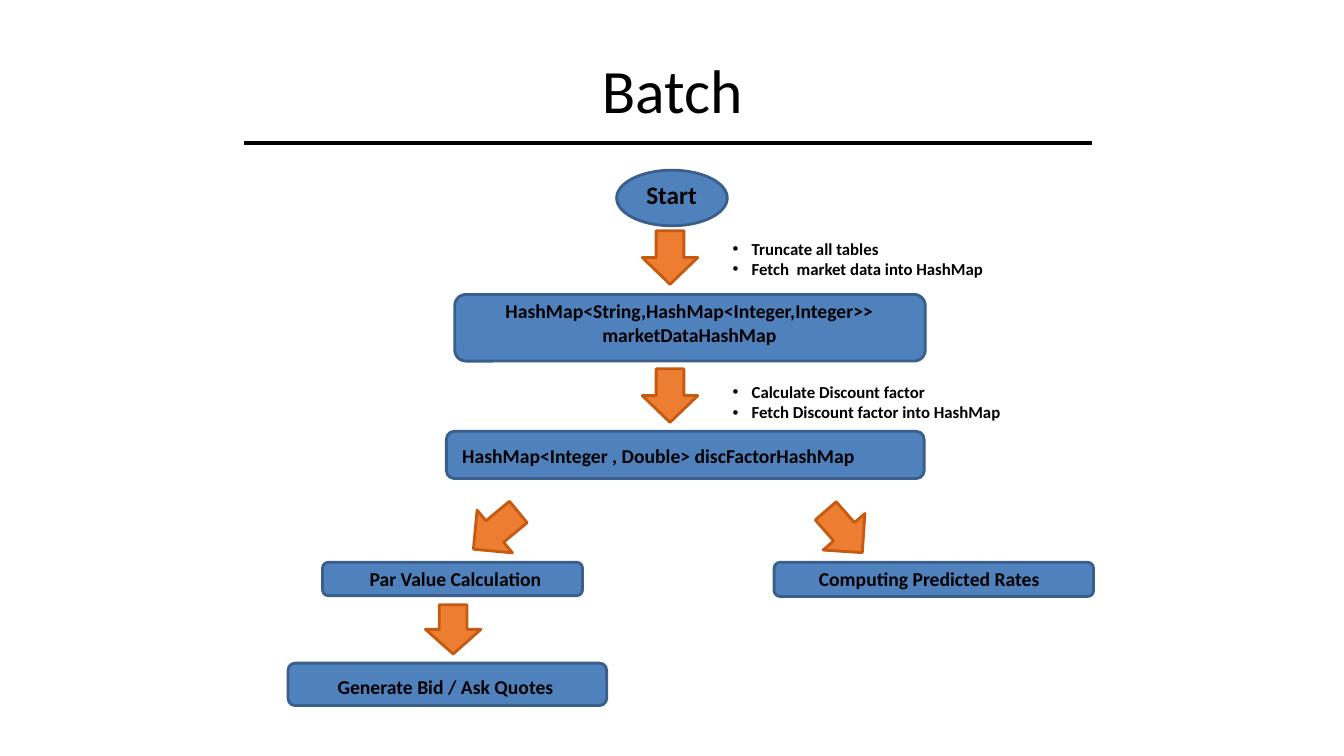
"""Build the Batch flow chart slide."""
from dataclasses import dataclass
from lxml.etree import SubElement
from pptx import Presentation
from pptx.dml.color import RGBColor
from pptx.enum.shapes import MSO_CONNECTOR, MSO_SHAPE
from pptx.enum.text import MSO_ANCHOR, MSO_AUTO_SIZE, PP_ALIGN
from pptx.oxml.ns import qn
from pptx.util import Cm, Pt


@dataclass(frozen=True)
class Theme:
    font: str = "Calibri"
    ink: str = "000000"
    box: tuple = ("4F81BD", "3A5F8C")
    arrow: tuple = ("ED7D31", "C55A11")
    title: int = 44
    start: int = 18
    step: int = 14
    note: int = 12
    edge: float = 2
    rule: float = 2.75


theme = Theme()
oval, card = MSO_SHAPE.OVAL, MSO_SHAPE.ROUNDED_RECTANGLE
left, center = PP_ALIGN.LEFT, PP_ALIGN.CENTER

title = ("Batch", (5.51, 0.76, 22.86, 3.18))
rule = (6.15, 3.61, 27.51, 3.61)
steps = [
    ("Start", oval, (15.54, 4.29, 2.79, 1.4),
     (15.21, 4.39, 3.43, 1.02), theme.start, center),
    ("HashMap<String,HashMap<Integer,Integer>>\nmarketDataHashMap", card,
     (11.46, 7.42, 11.86, 1.68), (11.76, 7.42, 11.23, 1.45), theme.step, center),
    ("HashMap<Integer , Double> discFactorHashMap", card,
     (11.25, 10.87, 12.04, 1.19), (11.4, 11.05, 11.91, 0.86), theme.step, left),
    ("Par Value Calculation", card, (8.13, 14.17, 6.55, 0.84),
     (7.24, 14.17, 8.48, 0.86), theme.step, center),
    ("Computing Predicted Rates", card, (19.51, 14.17, 8.05, 0.86),
     (19.51, 14.17, 7.82, 0.86), theme.step, center),
    ("Generate Bid / Ask Quotes", card, (7.26, 16.71, 8.03, 1.07),
     (7.19, 16.87, 8.08, 0.86), theme.step, center),
]
notes = [
    ("Truncate all tables \nFetch  market data into HashMap",
     (18.21, 5.89, 9.12, 1.27)),
    ("Calculate Discount factor\nFetch Discount factor into HashMap",
     (18.21, 9.5, 8.48, 1.27)),
]
arrows = [
    ((16.21, 5.79, 1.35, 1.4), 90),
    ((16.21, 9.27, 1.35, 1.4), 90),
    ((11.76, 12.67, 1.47, 1.4), 140.4),
    ((20.57, 12.7, 1.4, 1.4), 48.8),
    ((10.8, 15.16, 1.24, 1.4), 90),
]


def color(code):
    return RGBColor.from_string(code)


def span(area):
    return [Cm(size) for size in area]


def place(shape, area):
    shape.left, shape.top, shape.width, shape.height = span(area)


def write(shape, text, size, align, bold=True):
    frame = shape.text_frame
    frame.text = text
    frame.word_wrap = True
    frame.auto_size = MSO_AUTO_SIZE.NONE
    for line in frame.paragraphs:
        line.alignment = align
        for run in line.runs:
            font = run.font
            font.name, font.size, font.bold = theme.font, Pt(size), bold
            font.color.rgb = color(theme.ink)
    return frame


def draw(kind, area, paint):
    shape = slide.shapes.add_shape(kind, *span(area))
    shape.shadow.inherit = False
    fill, edge = paint
    shape.fill.solid()
    shape.fill.fore_color.rgb = color(fill)
    shape.line.color.rgb = color(edge)
    shape.line.width = Pt(theme.edge)
    return shape


deck = Presentation()
deck.slide_width, deck.slide_height = Cm(33.87), Cm(19.05)
slide = deck.slides.add_slide(deck.slide_layouts[3])
head, *lists = slide.placeholders

text, area = title
place(head, area)
frame = write(head, text, theme.title, center, False)
frame.vertical_anchor = MSO_ANCHOR.MIDDLE
frame.paragraphs[0].line_spacing = 0.9

for holder, (text, area) in zip(lists, notes):
    place(holder, area)
    for line in write(holder, text, theme.note, PP_ALIGN.JUSTIFY).paragraphs:
        line.space_before = Pt(0)
        props = line._p.get_or_add_pPr()
        props.set("marL", str(Cm(0.48)))
        props.set("indent", str(-Cm(0.48)))
        SubElement(props, qn("a:buFont")).set("typeface", "Arial")
        SubElement(props, qn("a:buChar")).set("char", "•")

for text, kind, area, spot, size, align in steps:
    draw(kind, area, theme.box)
    write(slide.shapes.add_textbox(*span(spot)), text, size, align)

for area, angle in arrows:
    draw(MSO_SHAPE.RIGHT_ARROW, area, theme.arrow).rotation = angle

bar = slide.shapes.add_connector(MSO_CONNECTOR.STRAIGHT, *span(rule))
bar.line.color.rgb = color(theme.ink)
bar.line.width = Pt(theme.rule)
SubElement(bar._element.spPr, qn("a:effectLst"))

deck.save("out.pptx")
